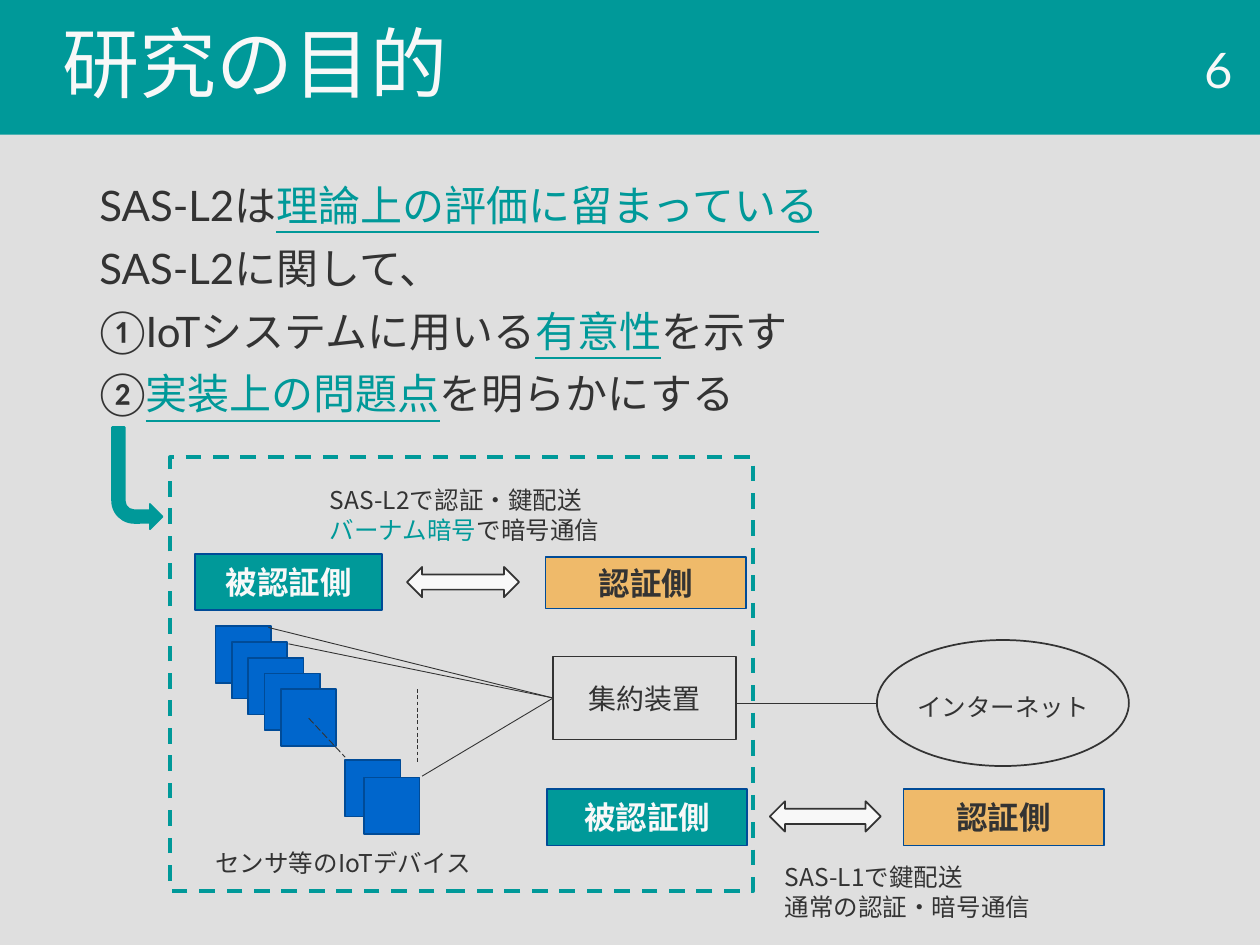
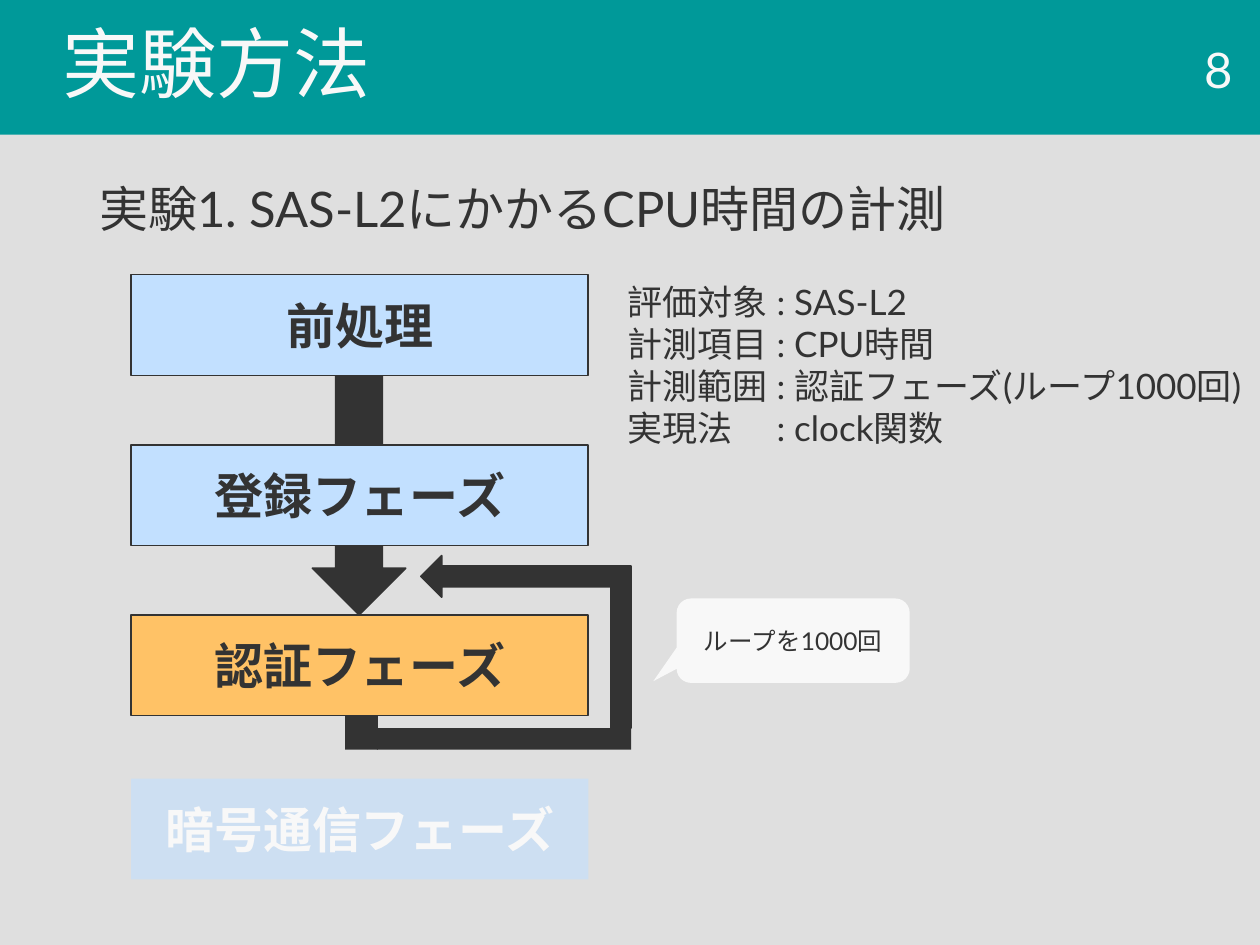
from lxml import etree
from pptx import Presentation
from pptx.dml.color import RGBColor
from pptx.enum.dml import MSO_LINE_DASH_STYLE as DASH
from pptx.enum.shapes import MSO_CONNECTOR, MSO_SHAPE as SHAPE
from pptx.enum.text import MSO_ANCHOR as ANCHOR, PP_ALIGN as ALIGN
from pptx.oxml.ns import qn
from pptx.util import Inches, Pt

# Grid: 100 columns by 75 rows cover the slide
SLIDE_W, SLIDE_H = Inches(10), Inches(7.5)
COL, ROW = SLIDE_W / 100, SLIDE_H / 75
COLORS = {
    "teal": "009999", "paper": "DFDFDF", "white": "F8F8F8", "ink": "333333",
    "blue": "0066CC", "navy": "004B97", "orange": "FF9900",
    "sky": "C2E0FF", "amber": "FFC266",
}
MAIN_FONT, NOTE_FONT = "Lato", "Noto Sans CJK JP"


def color(name):
    return RGBColor.from_string(COLORS[name])


def place(left, top, width, height):
    return [round(n) for n in (left * COL, top * ROW, width * COL, height * ROW)]


def write(box, paragraphs, size, font=MAIN_FONT, ink="ink", bold=False,
          align=ALIGN.LEFT, anchor=ANCHOR.TOP, spacing=None, before=0, indent=0):
    """A paragraph is a string or a list of strings and (text, format) pairs."""
    frame = box.text_frame
    frame.word_wrap = True
    frame.vertical_anchor = anchor
    for index, content in enumerate(paragraphs):
        para = frame.paragraphs[0] if index == 0 else frame.add_paragraph()
        para.alignment = align
        para.space_before = Pt(before)
        if spacing:
            para.line_spacing = spacing
        if indent:
            para._p.get_or_add_pPr().set("marL", str(round(indent * COL)))
        for piece in [content] if isinstance(content, str) else content:
            text, style = (piece, {}) if isinstance(piece, str) else piece
            span = para.add_run()
            span.text = text
            span.font.size, span.font.bold, span.font.name = Pt(size), bold, font
            span.font.underline = style.get("underline", False)
            span.font.color.rgb = color(style.get("ink", ink))
            east_asian = etree.Element(qn("a:ea"), typeface=font)
            span.font._rPr.find(qn("a:latin")).addnext(east_asian)


def add_text(page, area, paragraphs, size, **style):
    box = page.shapes.add_textbox(*place(*area))
    write(box, paragraphs, size, **style)
    return box


def add_note(page, area, *paragraphs):
    add_text(page, area, paragraphs, 14, font=NOTE_FONT, spacing=Pt(17))


def add_figure(page, area, kind=SHAPE.RECTANGLE, fill=None, opacity=100,
               line=None, weight=1, dash=None):
    figure = page.shapes.add_shape(kind, *place(*area))
    figure.shadow.inherit = False
    if fill:
        figure.fill.solid()
        figure.fill.fore_color.rgb = color(fill)
        if opacity < 100:
            tone = figure.fill._xPr.find(qn("a:solidFill"))[0]
            etree.SubElement(tone, qn("a:alpha"), val=str(opacity * 1000))
    else:
        figure.fill.background()
    if line:
        figure.line.color.rgb = color(line)
        figure.line.width = Pt(weight)
        figure.line.dash_style = dash
    else:
        figure.line.fill.background()
    return figure


def add_label_box(page, area, text, size, ink="ink", bold=True, **look):
    box = add_figure(page, area, **look)
    write(box, [text], size, ink=ink, bold=bold, align=ALIGN.CENTER,
          anchor=ANCHOR.MIDDLE)
    return box


def add_link(page, start, end, dash=None):
    left, top, right, bottom = place(*start, *end)
    link = page.shapes.add_connector(MSO_CONNECTOR.STRAIGHT, left, top, right, bottom)
    link.line.color.rgb = color("ink")
    link.line.width = Pt(0.5)
    link.line.dash_style = dash
    etree.SubElement(link._element.spPr, qn("a:effectLst"))


def add_page(deck, title, number, body, body_size):
    """Background, title band, slide number and body text."""
    page = deck.slides.add_slide(deck.slide_layouts[6])
    page.background.fill.solid()
    page.background.fill.fore_color.rgb = color("paper")
    band = add_figure(page, (0, 0, 100, 10.7), fill="teal")
    write(band, [title], 44, ink="white", anchor=ANCHOR.MIDDLE, spacing=0.9, indent=4)
    add_text(page, (76.3, 3.5, 22.5, 4), [number], 28, ink="white",
             align=ALIGN.RIGHT, anchor=ANCHOR.MIDDLE)
    add_text(page, (6.9, 14.2, 86.2, 53.4), body, body_size, spacing=0.9, before=10)
    return page


def add_roles(page, prover_area, arrow_area, verifier_area):
    """The authenticated side, a two-way arrow and the authenticating side."""
    add_label_box(page, prover_area, "被認証側", 18, ink="white",
                  fill="teal", line="navy")
    add_figure(page, arrow_area, SHAPE.LEFT_RIGHT_ARROW, fill="white", line="ink")
    add_label_box(page, verifier_area, "認証側", 18,
                  fill="orange", opacity=52, line="navy")


def build_purpose(deck):
    key = {"ink": "teal", "underline": True}
    page = add_page(deck, "研究の目的", "6", [
        ["SAS-L2は", ("理論上の評価に留まっている", key)],
        "SAS-L2に関して、",
        ["①IoTシステムに用いる", ("有意性", key), "を示す"],
        ["②", ("実装上の問題点", key), "を明らかにする"],
    ], 24)

    # IoT devices: a stack of five, then the last two
    stack = [(17.1 + 1.3 * step, 49.7 + 1.25 * step) for step in range(5)]
    for corner in stack + [(27.4, 60.3), (28.9, 61.7)]:
        add_figure(page, (*corner, 4.4, 4.5), fill="blue", line="navy")
    add_note(page, (16.1, 66.8, 25.8, 3.4), "センサ等のIoTデバイス")

    # Network
    hub = (43.9, 55.4)
    for device in [(21.3, 49.8), (22.9, 51.1), (33.5, 61.6)]:
        add_link(page, device, hub)
    add_link(page, (33.1, 54.7), (33.1, 60.6), DASH.DASH)
    add_link(page, (24.5, 57), (27.4, 60.1), DASH.LONG_DASH)
    add_link(page, (58.4, 55.8), (69.6, 55.8))
    add_label_box(page, (43.9, 52.1, 14.5, 6.6), "集約装置", 16, bold=False, line="ink")
    add_figure(page, (69.6, 50.8, 20, 10), SHAPE.OVAL, line="ink")
    add_note(page, (71.8, 54.4, 19.8, 3.4), "インターネット")

    # Who authenticates whom
    add_roles(page, (15.5, 44, 14.8, 4.4), (32.3, 45, 8.9, 2.4), (43.3, 44.2, 15.9, 4.1))
    add_roles(page, (43.4, 62.6, 15.9, 4.5), (61.1, 63.6, 8.8, 2.4),
              (71.7, 62.6, 15.9, 4.5))
    add_note(page, (25.2, 38, 30, 5.7), "SAS-L2で認証・鍵配送",
             [("バーナム暗号", {"ink": "teal"}), "で暗号通信"])
    add_note(page, (61.3, 67.9, 30, 5.7), "SAS-L1で鍵配送", "通常の認証・暗号通信")

    # Scope of the study
    add_figure(page, (13.5, 36.3, 46.3, 34.4), line="teal", weight=2.25, dash=DASH.DASH)
    pointer = add_figure(page, (8.9, 33.9, 4, 8.1), SHAPE.BENT_ARROW,
                         fill="teal", line="teal")
    pointer._element.spPr.find(qn("a:xfrm")).set("flipV", "1")


def build_method(deck):
    page = add_page(deck, "実験方法", "8", ["実験1. SAS-L2にかかるCPU時間の計測"], 28)

    # Phases, over the arrow that runs through them
    add_figure(page, (24.8, 29.8, 7.4, 19), SHAPE.DOWN_ARROW, fill="ink", line="ink")
    phases = [("前処理", "sky"), ("登録フェーズ", "sky"), ("認証フェーズ", "amber")]
    for step, (name, fill) in enumerate(phases):
        add_label_box(page, (10.4, 21.8 + 13.5 * step, 36.3, 8), name, 28,
                      fill=fill, line="ink")
    add_label_box(page, (10.4, 61.8, 36.3, 8), "暗号通信フェーズ", 28, ink="white",
                  fill="sky", opacity=60)

    # Loop back to the authentication phase
    for bar in [(27.4, 56.8, 2.6, 2.7), (29.9, 57.8, 20.2, 1.7)]:
        add_figure(page, bar, fill="ink")
    add_figure(page, (48.5, 44.9, 1.6, 12.9), fill="ink", line="ink")
    add_figure(page, (33.4, 44.1, 15.1, 3.3), SHAPE.LEFT_ARROW, fill="ink", line="ink")
    callout = add_label_box(page, (53.7, 47.5, 18.5, 6.7), "ループを1000回", 14,
                            bold=False, kind=SHAPE.ROUNDED_RECTANGULAR_CALLOUT,
                            fill="white")
    for index, value in enumerate((-0.6, 0.48, 0.17)):
        callout.adjustments[index] = value

    # Conditions of the measurement
    add_text(page, (48.8, 21.8, 51.2, 14.5), [
        "評価対象 : SAS-L2",
        "計測項目 : CPU時間",
        "計測範囲 : 認証フェーズ(ループ1000回)",
        "実現法 　: clock関数",
    ], 20)


def main():
    deck = Presentation()
    deck.slide_width, deck.slide_height = SLIDE_W, SLIDE_H
    build_purpose(deck)
    build_method(deck)
    deck.save("out.pptx")


if __name__ == "__main__":
    main()
